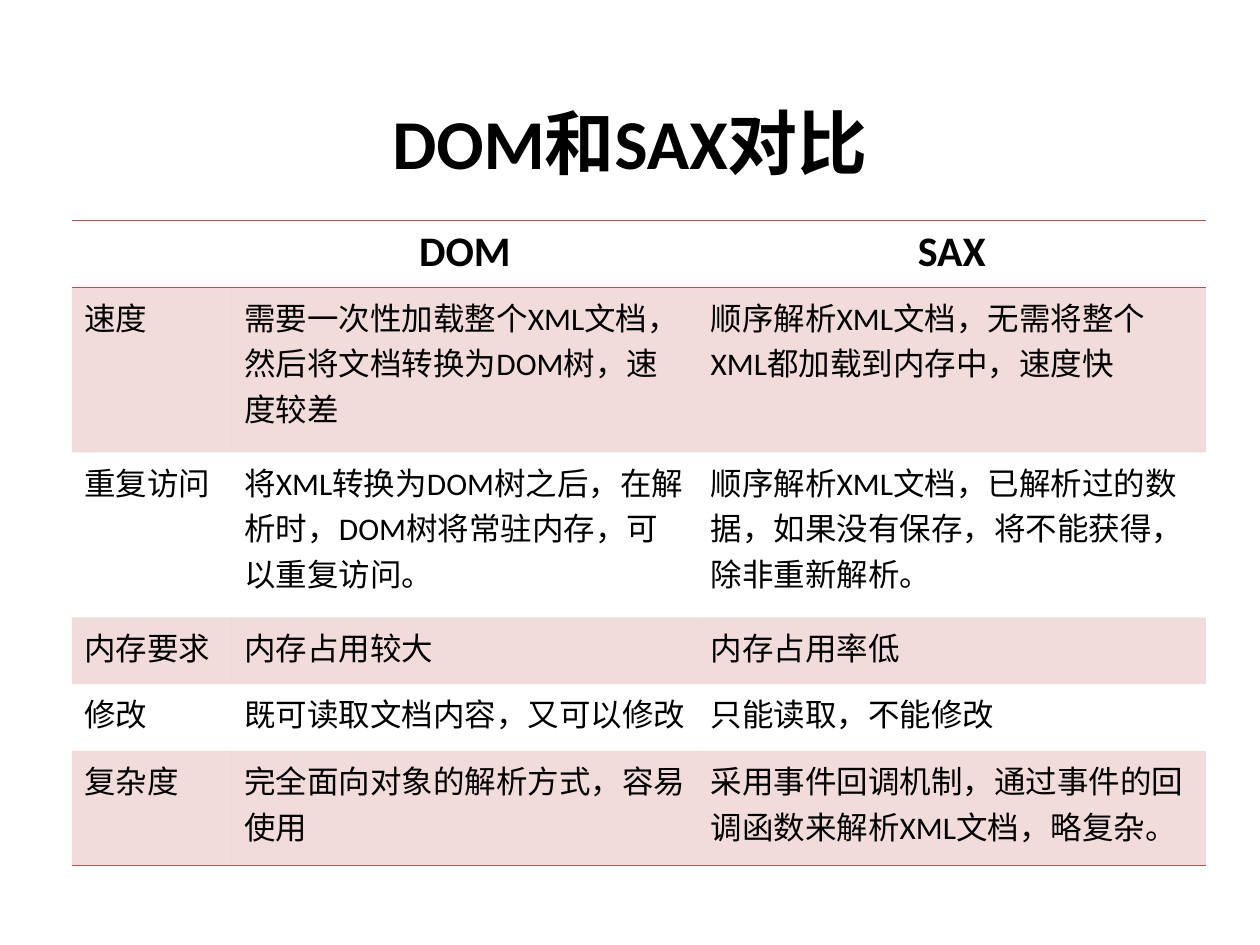
from lxml.etree import SubElement
from pptx import Presentation
from pptx.dml.color import RGBColor
from pptx.enum.text import MSO_ANCHOR, PP_ALIGN
from pptx.oxml.ns import qn
from pptx.util import Inches, Pt

FONT = "Calibri"
BLACK = "000000"
RED = "C0504D"
NO_STYLE = "{2D5ABB26-0587-4C30-8999-92F81FD0307C}"

COL_WIDTHS = [1.27, 3.7, 4.03]
ROW_HEIGHTS = [0.53, 1.31, 1.31, 0.53, 0.53, 0.91]
ROWS = [
    ["", "DOM", "SAX"],
    ["速度",
     "需要一次性加载整个XML文档，然后将文档转换为DOM树，速度较差",
     "顺序解析XML文档，无需将整个XML都加载到内存中，速度快"],
    ["重复访问",
     "将XML转换为DOM树之后，在解析时，DOM树将常驻内存，可以重复访问。",
     "顺序解析XML文档，已解析过的数据，如果没有保存，将不能获得，除非重新解析。"],
    ["内存要求", "内存占用较大", "内存占用率低"],
    ["修改", "既可读取文档内容，又可以修改", "只能读取，不能修改"],
    ["复杂度",
     "完全面向对象的解析方式，容易使用",
     "采用事件回调机制，通过事件的回调函数来解析XML文档，略复杂。"],
]


def color(value):
    return RGBColor.from_string(value)


def set_text(tf, text, size, bold, align):
    tf.text = text
    p = tf.paragraphs[0]
    p.alignment = align
    for r in p.runs:
        r.font.name = FONT
        r.font.size = Pt(size)
        r.font.bold = bold
        r.font.color.rgb = color(BLACK)


def add_border(cell, side):
    ln = SubElement(cell._tc.get_or_add_tcPr(), qn("a:" + side), w=str(Pt(1)))
    fill = SubElement(ln, qn("a:solidFill"))
    SubElement(fill, qn("a:srgbClr"), val=RED)


def fill_band(cell):
    """Fill the cell with red at 20 % opacity."""
    cell.fill.solid()
    cell.fill.fore_color.rgb = color(RED)
    clr = cell._tc.tcPr.find(qn("a:solidFill")).find(qn("a:srgbClr"))
    SubElement(clr, qn("a:alpha"), val="20000")


def add_title(s, text):
    sp = s.shapes.title
    sp.left, sp.top = Inches(0.5), Inches(0.5)
    sp.width, sp.height = Inches(9), Inches(1.25)
    sp.text_frame.vertical_anchor = MSO_ANCHOR.MIDDLE
    set_text(sp.text_frame, text, 40, True, PP_ALIGN.CENTER)


def add_comparison(s):
    table = s.shapes.add_table(
        len(ROWS), len(COL_WIDTHS), Inches(0.57), Inches(1.75),
        Inches(sum(COL_WIDTHS)), Inches(sum(ROW_HEIGHTS))).table
    table._tbl.tblPr.find(qn("a:tableStyleId")).text = NO_STYLE
    for col, width in zip(table.columns, COL_WIDTHS):
        col.width = Inches(width)
    for row, height in zip(table.rows, ROW_HEIGHTS):
        row.height = Inches(height)

    last = len(ROWS) - 1
    for i, texts in enumerate(ROWS):
        header = i == 0
        for j, text in enumerate(texts):
            cell = table.cell(i, j)
            set_text(cell.text_frame, text, 24 if header else 18, header,
                     PP_ALIGN.CENTER if header else PP_ALIGN.LEFT)
            # Rules above and below the header, and under the last row
            if header:
                add_border(cell, "lnT")
            if i in (0, last):
                add_border(cell, "lnB")
            # Every other row is tinted
            if i % 2:
                fill_band(cell)
            else:
                cell.fill.background()


def main():
    prs = Presentation()
    prs.slide_width, prs.slide_height = Inches(10), Inches(7.5)
    s = prs.slides.add_slide(prs.slide_layouts[5])
    add_title(s, "DOM和SAX对比")
    add_comparison(s)
    prs.save("out.pptx")


if __name__ == "__main__":
    main()
